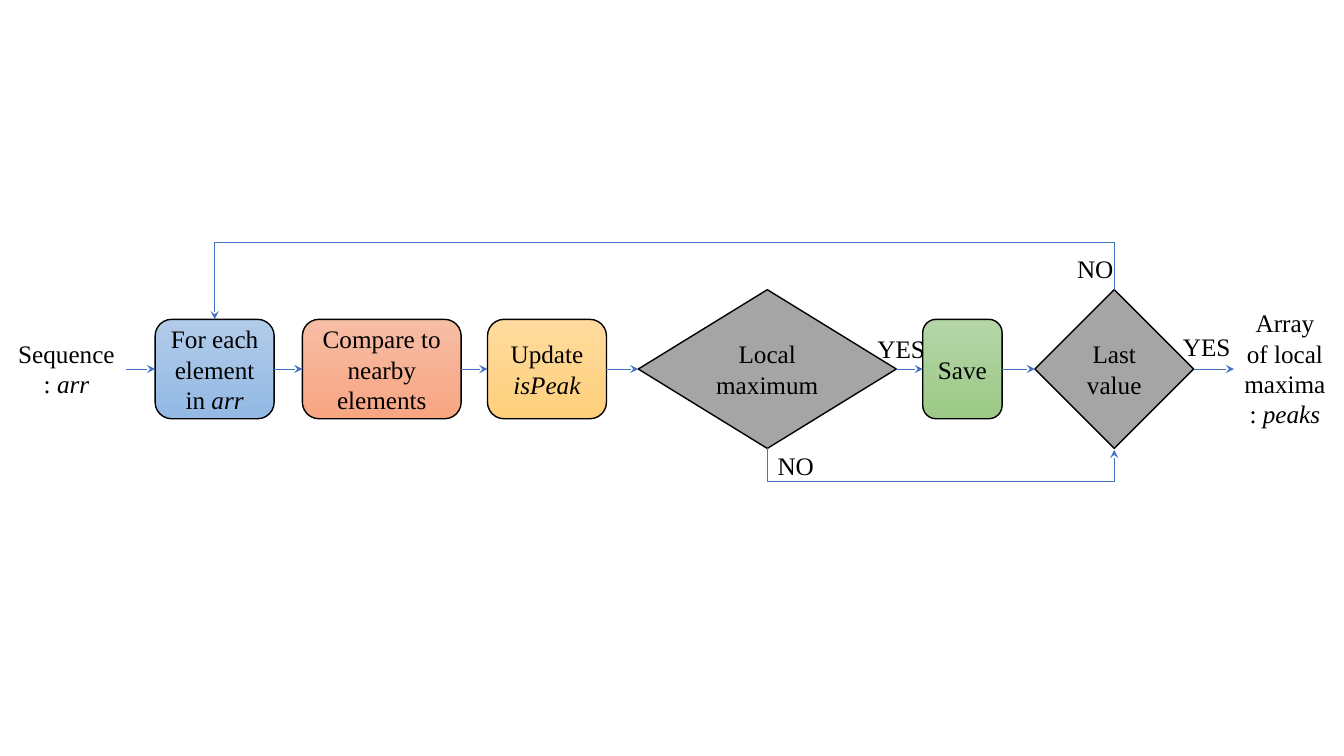
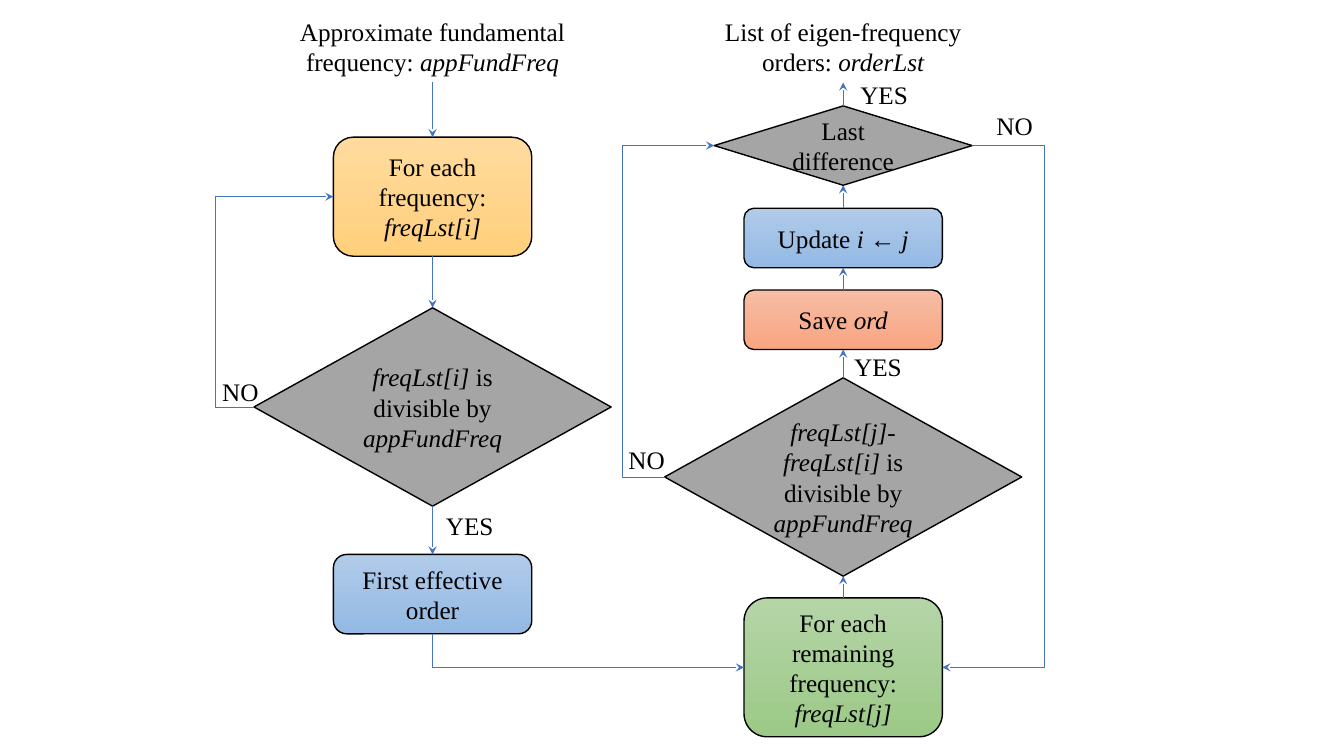
from lxml.etree import SubElement
from pptx import Presentation
from pptx.dml.color import RGBColor
from pptx.enum.shapes import MSO_CONNECTOR, MSO_SHAPE
from pptx.enum.text import MSO_ANCHOR, PP_ALIGN
from pptx.oxml.ns import qn
from pptx.util import Pt

BLACK = RGBColor(0x00, 0x00, 0x00)
GRAY = RGBColor(0xA5, 0xA5, 0xA5)
ARROW = RGBColor(0x44, 0x72, 0xC4)
BLUE = RGBColor(0xB1, 0xCB, 0xE9), RGBColor(0x93, 0xB9, 0xE4)
CORAL = RGBColor(0xF7, 0xBD, 0xA5), RGBColor(0xF8, 0xA5, 0x82)
GOLD = RGBColor(0xFF, 0xDB, 0x9E), RGBColor(0xFF, 0xD0, 0x7C)
GREEN = RGBColor(0xB5, 0xD5, 0xA7), RGBColor(0x9C, 0xC9, 0x87)
FONT = "Times New Roman"
SIZE = 18
TOP, LEFT, BOTTOM, RIGHT = range(4)
SIDES = [(0, -0.5), (-0.5, 0), (0, 0.5), (0.5, 0)]
WIDTHS = {"YES": 49, "NO": 41}
LABEL = 28.8

ROW = 263.6
COL1, COL2 = 309, 602.3

PEAKS = {
    "nodes": {
        "input": ("Sequence: *arr*", None, 47.5, ROW, 85, 51),
        "each": ("For each element in *arr*", BLUE, 153.3, ROW, 85, 71),
        "compare": ("Compare to nearby elements", CORAL, 272.7, ROW, 113.4, 71),
        "update": ("Update *isPeak*", GOLD, 390.7, ROW, 85, 71),
        "local": ("Local maximum", GRAY, 548.1, ROW, 184.3, 113.4),
        "save": ("Save", GREEN, 687.5, ROW, 56.7, 71),
        "last": ("Last value", GRAY, 795.9, ROW, 113.4, 113.4),
        "output": ("Array of local maxima: *peaks*", None, 917.8, ROW, 72.7, 94.6),
    },
    "chains": [
        (RIGHT, LEFT, ["input", "each", "compare", "update", "local", "save", "last", "output"]),
    ],
    "elbows": [
        ("last", TOP, "each", TOP, 172.8),
        ("local", BOTTOM, "last", BOTTOM, 344),
    ],
    "labels": [
        ("YES", 619.2, 234.7),
        ("YES", 837.4, 233.3),
        ("NO", 761.8, 177.1),
        ("NO", 547.9, 318.2),
    ],
}

ORDERS = {
    "nodes": {
        "input": ("Approximate fundamental frequency: *appFundFreq*", None, COL1, 33.4, 234.7, 51),
        "each": ("For each frequency: *freqLst[i]*", GOLD, COL1, 140.5, 141.7, 85),
        "test": ("*freqLst[i] *is divisible by *appFundFreq*", GRAY, COL1, 290.7, 255.1, 141.7),
        "first": ("First effective order", BLUE, COL1, 424.4, 141.7, 56.7),
        "rest": ("For each\nremaining frequency: *freqLst[j]*", GREEN, COL2, 476.7, 141.7, 99.2),
        "pair": ("*freqLst[j]-freqLst[i] *is divisible by *appFundFreq*", GRAY, COL2, 340.7, 255.1, 141.7),
        "save": ("Save *ord*", CORAL, COL2, 228.4, 141.7, 42.5),
        "update": ("Update* i* ← *j*", BLUE, COL2, 170, 141.7, 42.5),
        "last": ("Last difference", GRAY, COL2, 104, 184.3, 56.7),
        "output": ("List of eigen-frequency orders: *orderLst*", None, COL2, 33.4, 198.7, 51),
    },
    "chains": [
        (BOTTOM, TOP, ["input", "each", "test", "first"]),
        (TOP, BOTTOM, ["rest", "pair", "save", "update", "last", "output"]),
    ],
    "elbows": [
        ("test", LEFT, "each", LEFT, 154),
        ("pair", LEFT, "last", LEFT, 444.4),
        ("last", RIGHT, "rest", RIGHT, 746),
        ("first", BOTTOM, "rest", LEFT, None),
    ],
    "labels": [
        ("YES", 311, 360.7),
        ("YES", 602.6, 247.7),
        ("YES", 607, 53.3),
        ("NO", 151.2, 265),
        ("NO", 441.4, 313.9),
        ("NO", 704.2, 75.6),
    ],
}


def write(shape, text, wrap=True):
    frame = shape.text_frame
    frame.word_wrap = wrap
    for n, line in enumerate(text.split("\n")):
        para = frame.add_paragraph() if n else frame.paragraphs[0]
        para.alignment = PP_ALIGN.CENTER
        for k, part in enumerate(line.split("*")):
            if part:
                run = para.add_run()
                run.text = part
                run.font.name = FONT
                run.font.size = Pt(SIZE)
                run.font.italic = k % 2 == 1
                run.font.color.rgb = BLACK


def add_node(slide, text, paint, x, y, w, h):
    box = Pt(x - w / 2), Pt(y - h / 2), Pt(w), Pt(h)
    if paint is None:
        shape = slide.shapes.add_textbox(*box)
    else:
        kind = MSO_SHAPE.FLOWCHART_DECISION if paint == GRAY else MSO_SHAPE.ROUNDED_RECTANGLE
        shape = slide.shapes.add_shape(kind, *box)
        shape.shadow.inherit = False
        shape.line.color.rgb = BLACK
        shape.line.width = Pt(1)
        if paint == GRAY:
            shape.fill.solid()
            shape.fill.fore_color.rgb = GRAY
        else:
            shape.fill.gradient()
            shape.fill.gradient_angle = 270
            for stop, color in zip(shape.fill.gradient_stops, paint):
                stop.color.rgb = color
        shape.text_frame.vertical_anchor = MSO_ANCHOR.MIDDLE
    write(shape, text)
    return shape


def add_link(slide, kind, *ends):
    link = slide.shapes.add_connector(kind, *[Pt(v) for v in ends])
    link.line.color.rgb = ARROW
    link.line.width = Pt(0.5)
    props = link.element.spPr
    SubElement(props.find(qn("a:ln")), qn("a:tailEnd"), type="stealth")
    SubElement(props, qn("a:effectLst"))
    return link


def find_site(node, side):
    x, y, w, h = node[2:]
    dx, dy = SIDES[side]
    return x + dx * w, y + dy * h


def add_elbow(slide, start, end, side, via):
    (x1, y1), (x2, y2) = start, end
    run, rise = x2 - x1, y2 - y1 or 1
    down = side in (TOP, BOTTOM)
    if down:
        x, y = x1 + run / 2, y1 + rise / 2
        ends = x - rise / 2, y + run / 2, x + rise / 2, y - run / 2
    else:
        ends = x1, y1, x2, y2
    link = add_link(slide, MSO_CONNECTOR.ELBOW, *ends)
    props = link.element.spPr
    if down:
        props.find(qn("a:xfrm")).set("rot", "5400000")
    geom = props.find(qn("a:prstGeom"))
    if via is None:
        geom.set("prst", "bentConnector2")
    else:
        ratio = (via - y1) / rise if down else (via - x1) / run
        SubElement(geom.find(qn("a:avLst")), qn("a:gd"), name="adj1", fmla=f"val {round(ratio * 100000)}")


def draw(slide, chart):
    nodes = chart["nodes"]
    for text, x, y in chart["labels"]:
        label = slide.shapes.add_textbox(Pt(x), Pt(y), Pt(WIDTHS[text]), Pt(LABEL))
        write(label, text, False)
    shapes = {key: add_node(slide, *node) for key, node in nodes.items()}
    for out, into, keys in chart["chains"]:
        for a, b in zip(keys, keys[1:]):
            ends = find_site(nodes[a], out) + find_site(nodes[b], into)
            link = add_link(slide, MSO_CONNECTOR.STRAIGHT, *ends)
            link.begin_connect(shapes[a], out)
            link.end_connect(shapes[b], into)
    for a, out, b, into, via in chart["elbows"]:
        add_elbow(slide, find_site(nodes[a], out), find_site(nodes[b], into), out, via)


def main():
    deck = Presentation()
    deck.slide_width, deck.slide_height = Pt(960), Pt(540)
    for chart in (PEAKS, ORDERS):
        draw(deck.slides.add_slide(deck.slide_layouts[6]), chart)
    deck.save("out.pptx")


if __name__ == "__main__":
    main()
